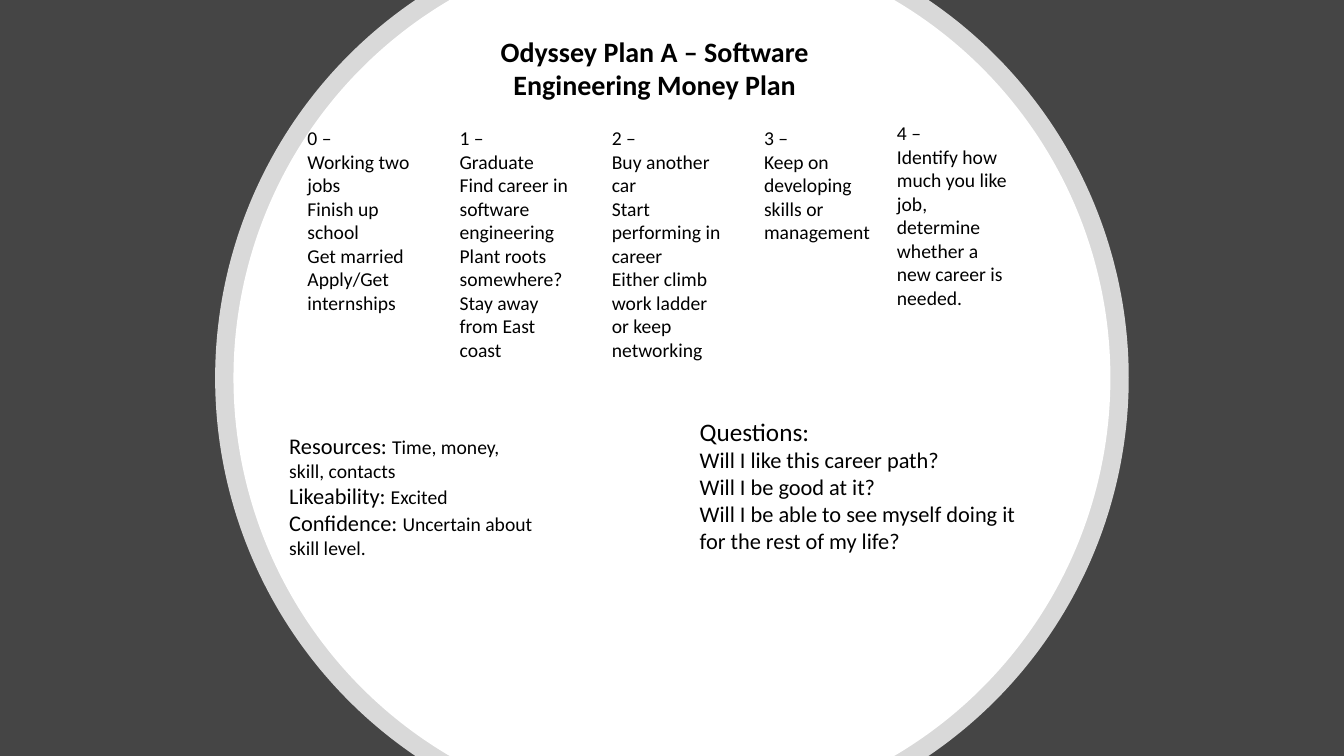
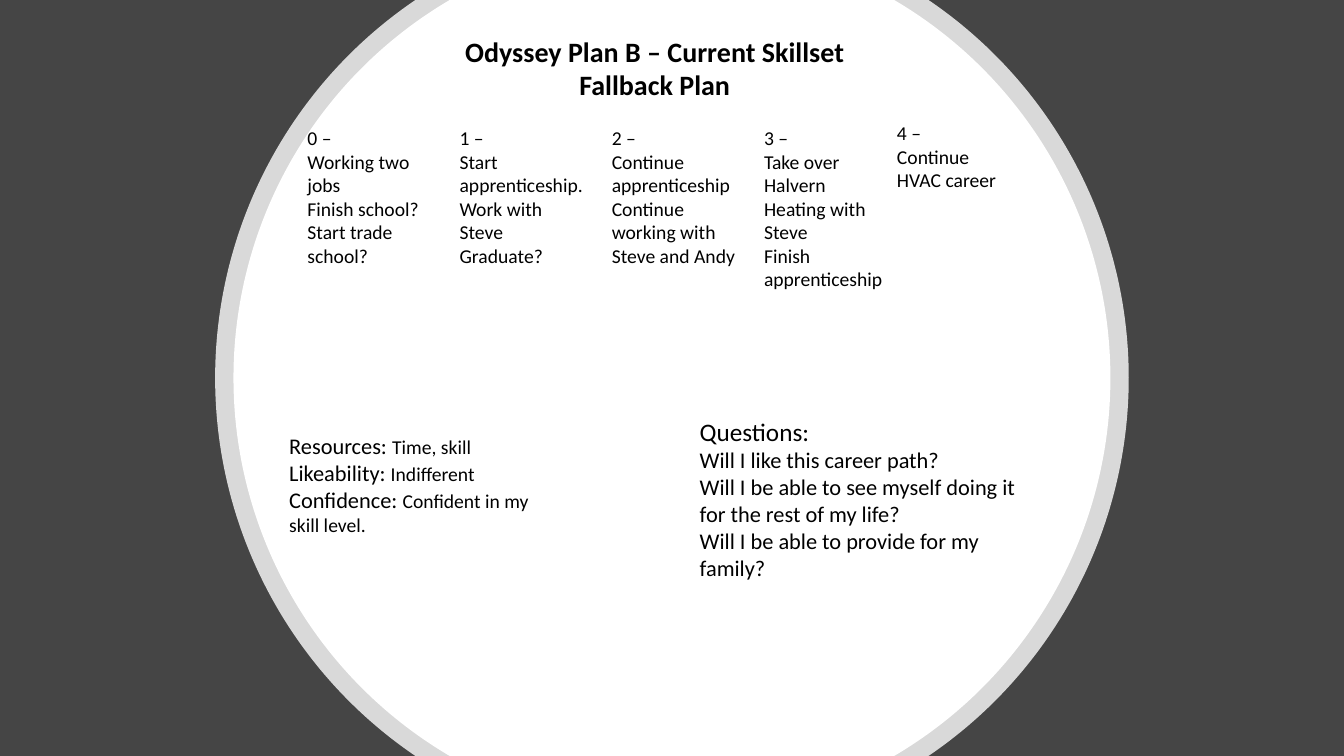
"""Build the two Odyssey Plan slides on a shared disc background."""

import math
from dataclasses import dataclass
from typing import NamedTuple

from lxml import etree
from pptx import Presentation
from pptx.dml.color import RGBColor
from pptx.enum.text import MSO_ANCHOR, MSO_AUTO_SIZE, PP_ALIGN
from pptx.oxml.ns import qn
from pptx.util import Pt

LEFT, CENTER = PP_ALIGN.LEFT, PP_ALIGN.CENTER
TOP = MSO_ANCHOR.TOP
GROW = MSO_AUTO_SIZE.SHAPE_TO_FIT_TEXT

COLORS = {"background": "454545", "disc": "FFFFFF", "text": "000000"}
FONT = "Calibri"
SLIDE_WIDTH, SLIDE_HEIGHT = 960, 540
TWO_CONTENT_LAYOUT = 3

TITLE_SIZE, HEADING_SIZE, LABEL_SIZE, NOTE_SIZE = 20, 18, 16, 14
YEAR_LEFT, YEAR_TOP, YEAR_STEP, YEAR_WIDTH = 212.5, 86.4, 108.72, 95
LAST_YEAR_LEFT, LAST_YEAR_TOP = 633.6, 82.9
FRAME_FORMAT = {"word_wrap": True, "auto_size": GROW, "vertical_anchor": TOP}


class Box(NamedTuple):
    left: float
    top: float
    width: float
    height: float


class Run(NamedTuple):
    text: str
    size: float
    bold: bool = False


class Disc(NamedTuple):
    radius: float
    opacity: int


class Year(NamedTuple):
    height: float
    notes: list[str]


@dataclass(frozen=True)
class Plan:
    title: str
    middle_width: float
    years: list[Year]
    ratings: dict[str, str]
    ratings_height: float
    questions: list[str]
    questions_height: float


DISCS = [Disc(326.3, 80), Disc(313.2, 100)]

PLANS = [
    Plan(
        title="Odyssey Plan A – Software Engineering Money Plan",
        middle_width=YEAR_WIDTH,
        years=[
            Year(143, ["Working two jobs", "Finish up school", "Get married",
                       "Apply/Get internships"]),
            Year(177, ["Graduate", "Find career in software engineering",
                       "Plant roots somewhere?", "Stay away from East coast"]),
            Year(177, ["Buy another car", "Start performing in career",
                       "Either climb work ladder or keep networking"]),
            Year(92, ["Keep on developing skills or management"]),
            Year(143, ["Identify how much you like job, determine whether "
                       "a new career is needed."]),
        ],
        ratings={"Resources": "Time, money, skill, contacts",
                 "Likeability": "Excited",
                 "Confidence": "Uncertain about skill level."},
        ratings_height=99,
        questions=["Will I like this career path?", "Will I be good at it?",
                   "Will I be able to see myself doing it for the rest of my life?"],
        questions_height=107,
    ),
    Plan(
        title="Odyssey Plan B – Current Skillset Fallback Plan",
        middle_width=103.7,
        years=[
            Year(109, ["Working two jobs", "Finish school?", "Start trade school?"]),
            Year(109, ["Start apprenticeship.", "Work with Steve", "Graduate?"]),
            Year(109, ["Continue apprenticeship",
                       "Continue working with Steve and Andy"]),
            Year(126, ["Take over Halvern Heating with Steve",
                       "Finish apprenticeship"]),
            Year(58, ["Continue HVAC career"]),
        ],
        ratings={"Resources": "Time, skill",
                 "Likeability": "Indifferent",
                 "Confidence": "Confident in my skill level."},
        ratings_height=82,
        questions=["Will I like this career path?",
                   "Will I be able to see myself doing it for the rest of my life?",
                   "Will I be able to provide for my family?"],
        questions_height=126,
    ),
]


def set_format(target, values: dict) -> None:
    for name, value in values.items():
        setattr(target, name, value)


def place(shape, box: Box) -> None:
    set_format(shape, {side: Pt(value) for side, value in box._asdict().items()})


def write(shape, paragraphs: list[list[Run]], alignment=LEFT) -> None:
    frame = shape.text_frame
    set_format(frame, FRAME_FORMAT)
    for index, runs in enumerate(paragraphs):
        paragraph = frame.add_paragraph() if index else frame.paragraphs[0]
        set_format(paragraph, {"alignment": alignment, "space_before": Pt(0)})
        properties = paragraph._p.get_or_add_pPr()
        properties.set("marL", "0")
        properties.set("indent", "0")
        etree.SubElement(properties, qn("a:buNone"))
        for item in runs:
            run = paragraph.add_run()
            run.text = item.text
            set_format(run.font, {"name": FONT, "size": Pt(item.size), "bold": item.bold})
            run.font.color.rgb = RGBColor.from_string(COLORS["text"])


def curve_side(line, radius: float, start: float, end: float) -> None:
    handle = 4 / 3 * math.tan((end - start) / 4)
    curve = etree.Element(qn("a:cubicBezTo"))
    for angle, reach in ((start, handle), (end, -handle)):
        x = radius * (1 + math.cos(angle) - reach * math.sin(angle))
        y = SLIDE_HEIGHT / 2 + radius * (math.sin(angle) + reach * math.cos(angle))
        etree.SubElement(curve, qn("a:pt"), x=str(int(Pt(x))), y=str(int(Pt(y))))
    curve.append(line[0])
    line.getparent().replace(line, curve)


def add_disc(slide, disc: Disc):
    limit = math.asin(SLIDE_HEIGHT / 2 / disc.radius)
    angles = [-limit, 0, limit, math.pi - limit, math.pi, math.pi + limit]
    start, *others = [(Pt(SLIDE_WIDTH / 2 + disc.radius * math.cos(angle)),
                       Pt(SLIDE_HEIGHT / 2 + disc.radius * math.sin(angle)))
                      for angle in angles]
    builder = slide.shapes.build_freeform(*start, scale=1.0)
    builder.add_line_segments(others, close=True)
    shape = builder.convert_to_shape()
    lines = list(shape.element.iter(qn("a:lnTo")))
    for index in (0, 1, 3, 4):
        curve_side(lines[index], disc.radius, angles[index], angles[index + 1])
    shape.shadow.inherit = False
    shape.line.fill.background()
    shape.fill.solid()
    shape.fill.fore_color.rgb = RGBColor.from_string(COLORS["disc"])
    if disc.opacity < 100:
        color = shape.element.spPr.find(f"{qn('a:solidFill')}/{qn('a:srgbClr')}")
        etree.SubElement(color, qn("a:alpha"), val=str(disc.opacity * 1000))
    return shape


def add_backdrop(slide) -> None:
    slide.background.fill.solid()
    slide.background.fill.fore_color.rgb = RGBColor.from_string(COLORS["background"])
    for disc in DISCS:
        slide.shapes.title.element.addprevious(add_disc(slide, disc).element)


def add_years(slide, plan: Plan) -> None:
    last = len(plan.years) - 1
    for index, year in enumerate(plan.years):
        left, top = YEAR_LEFT + index * YEAR_STEP, YEAR_TOP
        if index == last:
            left, top = LAST_YEAR_LEFT, LAST_YEAR_TOP
        width = plan.middle_width if 0 < index < last else YEAR_WIDTH
        box = Box(left, top, width, year.height)
        shape = slide.shapes.add_textbox(*map(Pt, box))
        write(shape, [[Run(text, NOTE_SIZE)] for text in [f"{index} –", *year.notes]])


def fill_slide(slide, plan: Plan) -> None:
    title, ratings, questions = slide.placeholders
    add_backdrop(slide)
    place(title, Box(321.2, 20.9, 293, 55.4))
    write(title, [[Run(plan.title, TITLE_SIZE, True)]], CENTER)
    add_years(slide, plan)
    place(ratings, Box(199.4, 304.9, 192.2, plan.ratings_height))
    write(ratings, [[Run(f"{label}: ", LABEL_SIZE), Run(value, NOTE_SIZE)]
                    for label, value in plan.ratings.items()])
    place(questions, Box(492.6, 293.8, 247, plan.questions_height))
    write(questions, [[Run("Questions:", HEADING_SIZE)],
                      *([Run(text, LABEL_SIZE)] for text in plan.questions)])


def main() -> None:
    presentation = Presentation()
    set_format(presentation, {"slide_width": Pt(SLIDE_WIDTH),
                              "slide_height": Pt(SLIDE_HEIGHT)})
    layout = presentation.slide_layouts[TWO_CONTENT_LAYOUT]
    for plan in PLANS:
        fill_slide(presentation.slides.add_slide(layout), plan)
    presentation.save("out.pptx")


if __name__ == "__main__":
    main()
